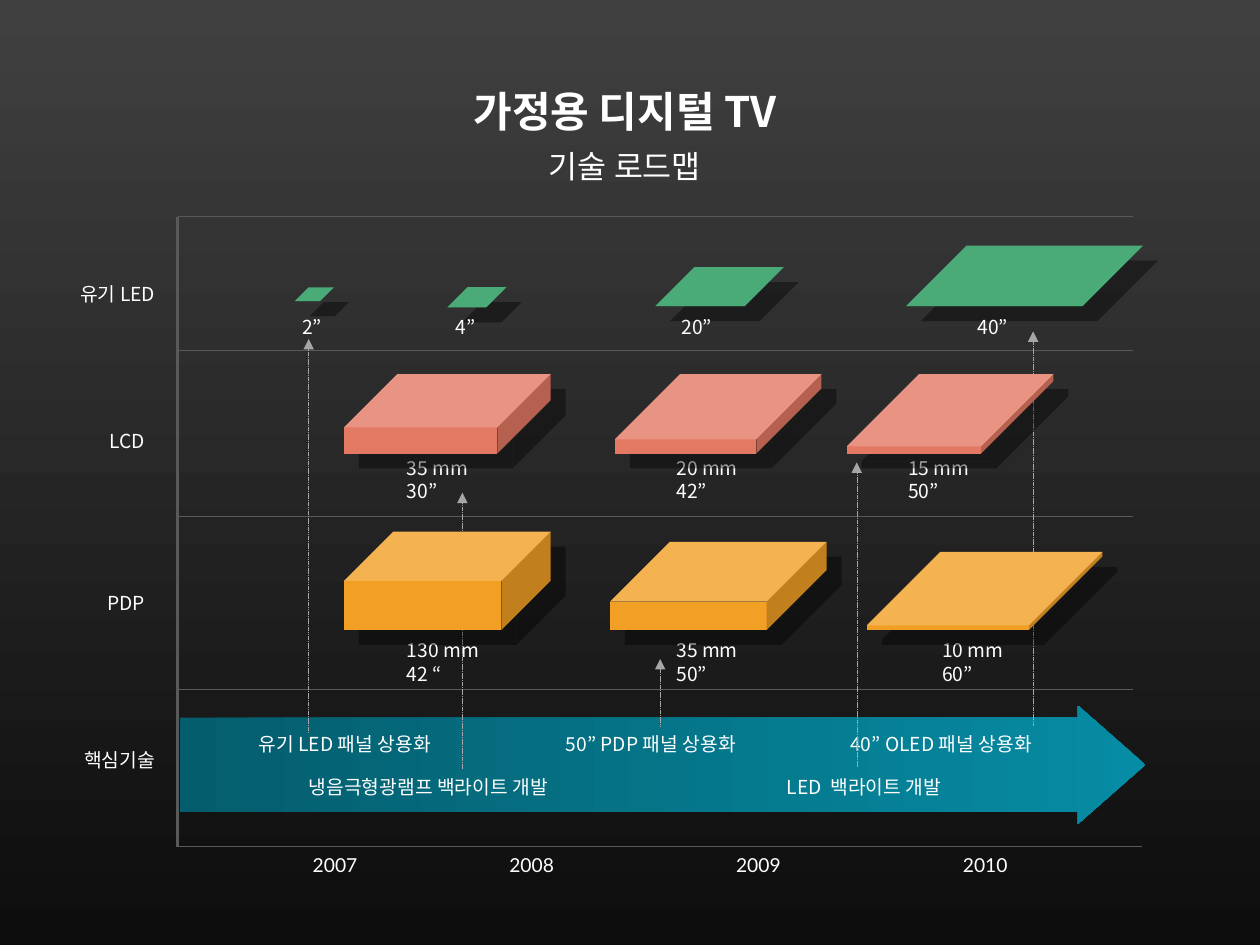
from dataclasses import dataclass

from lxml import etree
from pptx import Presentation
from pptx.dml.color import RGBColor
from pptx.enum.dml import MSO_LINE
from pptx.enum.shapes import MSO_CONNECTOR, MSO_SHAPE
from pptx.enum.text import MSO_ANCHOR, MSO_AUTO_SIZE, PP_ALIGN
from pptx.oxml.ns import qn
from pptx.util import Inches, Pt

LEFT, CENTER, RIGHT = PP_ALIGN.LEFT, PP_ALIGN.CENTER, PP_ALIGN.RIGHT
CUBE, RIGHT_ARROW = MSO_SHAPE.CUBE, MSO_SHAPE.RIGHT_ARROW
STRAIGHT = MSO_CONNECTOR.STRAIGHT
SHORT_DASH = MSO_LINE.SQUARE_DOT


@dataclass(frozen=True)
class Theme:
    text: str = "FFFFFF"
    background: tuple = ("404040", "0D0D0D")
    arrow: tuple = ("045D6D", "068CA4")
    grid: str = "595959"
    link: str = "A6A6A6"
    oled: str = "1E9657"
    lcd: str = "E47963"
    pdp: str = "F29F26"
    font: str = "Noto Sans CJK KR"
    year_font: str = "Lato"
    title_size: int = 24
    subtitle_size: int = 18
    label_size: int = 11


THEME = Theme()

AXIS_X, AXIS_Y = 1.41, 6.72
GRID_TOP, GRID_RIGHT = 1.72, 8.99
ROW_LINES = (GRID_TOP, 2.78, 4.1, 5.47)
LINE_HEIGHT = 0.29

# text, left, top, width
ROW_LABELS = (
    ("유기 LED", 0.31, 2.19, 1.02),
    ("LCD", 0.47, 3.36, 0.78),
    ("PDP", 0.55, 4.64, 0.7),
    ("핵심기술", 0.39, 5.89, 0.94),
)
TECHNOLOGIES = (
    ("유기 LED 패널 상용화", 1.72, 5.76, 1.8),
    ("50” PDP 패널 상용화", 4.22, 5.76, 1.72),
    ("40” OLED 패널 상용화", 6.4, 5.76, 1.89),
    ("냉음극형광램프 백라이트 개발", 1.64, 6.1, 2.81),
    ("LED  백라이트 개발", 5.7, 6.1, 1.87),
)
YEARS = (("2007", 2.31), ("2008", 3.87), ("2009", 5.67), ("2010", 7.47))

# top of the row's size labels, then (text, left)
SIZE_LABELS = (
    (2.45, (("2”", 2.3), ("4”", 3.52), ("20”", 5.31), ("40”", 7.66))),
    (3.57, (("35 mm\n30”", 3.13), ("20 mm\n42”", 5.27), ("15 mm\n50”", 7.11))),
    (5.02, (("130 mm\n42 “", 3.13), ("35 mm\n50”", 5.27), ("10 mm\n60”", 7.38))),
)

# left, top, width, height, depth
OLED_PANELS = (
    (2.34, 2.28, 0.31, 0.11, 1),
    (3.55, 2.28, 0.47, 0.16, 1),
    (5.2, 2.12, 1.02, 0.31, 1),
    (7.19, 1.95, 1.88, 0.48, 1),
)
LCD_PANELS = tuple(
    (left, 2.97, 1.64, 0.63, depth)
    for left, depth in ((2.73, 0.67), (4.88, 0.82), (6.72, 0.91))
)
PDP_PANELS = (
    (2.73, 4.22, 1.64, 0.78, 0.5),
    (4.84, 4.3, 1.72, 0.7, 0.68),
    (6.88, 4.38, 1.87, 0.62, 0.94),
)

# x, bottom, top
LINKS = (
    (2.45, 5.82, 2.69),
    (3.67, 6.1, 3.91),
    (5.24, 5.77, 5.23),
    (8.2, 5.76, 2.63),
    (6.8, 6.09, 3.67),
)


def color(value):
    return RGBColor.from_string(value)


def fill_gradient(fill, colors, angle):
    fill.gradient()
    fill.gradient_angle = angle
    for stop, value in zip(fill.gradient_stops, colors):
        stop.color.rgb = color(value)


def format_paragraph(paragraph, size, alignment, font_name=THEME.font, bold=False):
    paragraph.alignment = alignment
    for run in paragraph.runs:
        font = run.font
        font.size, font.bold, font.name = Pt(size), bold, font_name
        font.color.rgb = color(THEME.text)
        east_asian = etree.SubElement(font._element, qn("a:ea"))
        east_asian.set("typeface", font_name)


def add_title(slide):
    title = slide.shapes.title
    title.left, title.top = Inches(1.95), Inches(0.63)
    title.width, title.height = Inches(6.02), Inches(0.9)
    frame = title.text_frame
    frame.text = "가정용 디지털 TV\n기술 로드맵"
    frame.vertical_anchor = MSO_ANCHOR.TOP
    frame.auto_size = MSO_AUTO_SIZE.SHAPE_TO_FIT_TEXT
    heading, subtitle = frame.paragraphs
    format_paragraph(heading, THEME.title_size, CENTER, bold=True)
    format_paragraph(subtitle, THEME.subtitle_size, CENTER)
    subtitle.space_before = Pt(6)


def add_label(slide, text, left, top, width, alignment, font_name=THEME.font):
    height = LINE_HEIGHT + 0.18 * text.count("\n")
    box = slide.shapes.add_textbox(
        Inches(left), Inches(top), Inches(width), Inches(height))
    frame = box.text_frame
    frame.word_wrap = True
    frame.auto_size = MSO_AUTO_SIZE.SHAPE_TO_FIT_TEXT
    frame.text = text
    for paragraph in frame.paragraphs:
        format_paragraph(paragraph, THEME.label_size, alignment, font_name)


def add_line(shapes, start, end, line_color, width):
    connector = shapes.add_connector(
        STRAIGHT, *(Inches(value) for value in (*start, *end)))
    connector.line.color.rgb = color(line_color)
    connector.line.width = Pt(width)
    etree.SubElement(connector._element.spPr, qn("a:effectLst"))
    return connector


def add_grid(slide):
    shapes = slide.shapes.add_group_shape().shapes
    add_line(shapes, (AXIS_X, AXIS_Y), (9.06, AXIS_Y), THEME.grid, 0.75)
    add_line(shapes, (AXIS_X, AXIS_Y), (AXIS_X, GRID_TOP), THEME.grid, 2)
    for y in ROW_LINES:
        add_line(shapes, (AXIS_X, y), (GRID_RIGHT, y), THEME.grid, 0.75)


def add_link(slide, x, bottom, top):
    """Dashed arrow from a core technology up to the product it enables."""
    connector = add_line(slide.shapes, (x, bottom), (x, top), THEME.link, 0.25)
    connector.line.dash_style = SHORT_DASH
    line = connector.line._get_or_add_ln()
    etree.SubElement(line, qn("a:tailEnd")).set("type", "triangle")


def add_panel(slide, panel_color, left, top, width, height, depth):
    """Cube standing for a TV panel, with a hard offset shadow."""
    panel = slide.shapes.add_shape(
        CUBE, Inches(left), Inches(top), Inches(width), Inches(height))
    panel.adjustments[0] = depth
    panel.fill.solid()
    panel.fill.fore_color.rgb = color(panel_color)
    panel.line.fill.background()
    panel.shadow.inherit = False
    effects = panel._element.spPr.find(qn("a:effectLst"))
    shadow = etree.SubElement(effects, qn("a:outerShdw"), blurRad="0",
                              dist=str(Pt(12.1)), dir="2700000", rotWithShape="0")
    black = etree.SubElement(shadow, qn("a:srgbClr"), val="000000")
    etree.SubElement(black, qn("a:alpha"), val="40000")


def add_technology_arrow(slide):
    arrow = slide.shapes.add_shape(
        RIGHT_ARROW, Inches(1.43), Inches(5.6), Inches(7.66), Inches(0.94))
    arrow.adjustments[0], arrow.adjustments[1] = 0.795, 0.568
    fill_gradient(arrow.fill, THEME.arrow, 0)
    arrow.line.fill.background()
    arrow.shadow.inherit = False


def main():
    presentation = Presentation()
    presentation.slide_width, presentation.slide_height = Inches(10), Inches(7.5)
    slide = presentation.slides.add_slide(presentation.slide_layouts[5])
    fill_gradient(slide.background.fill, THEME.background, 270)

    add_title(slide)
    add_grid(slide)
    for panel in OLED_PANELS:
        add_panel(slide, THEME.oled, *panel)
    for text, left in YEARS:
        add_label(slide, text, left, AXIS_Y, 0.7, CENTER, THEME.year_font)
    for top, labels in SIZE_LABELS:
        for text, left in labels:
            add_label(slide, text, left, top, 0.86, LEFT)
    add_technology_arrow(slide)
    for label in ROW_LABELS + TECHNOLOGIES:
        add_label(slide, *label, RIGHT)
    for link in LINKS:
        add_link(slide, *link)
    for panel_color, panels in ((THEME.lcd, LCD_PANELS), (THEME.pdp, PDP_PANELS)):
        for panel in panels:
            add_panel(slide, panel_color, *panel)
    presentation.save("out.pptx")


if __name__ == "__main__":
    main()
